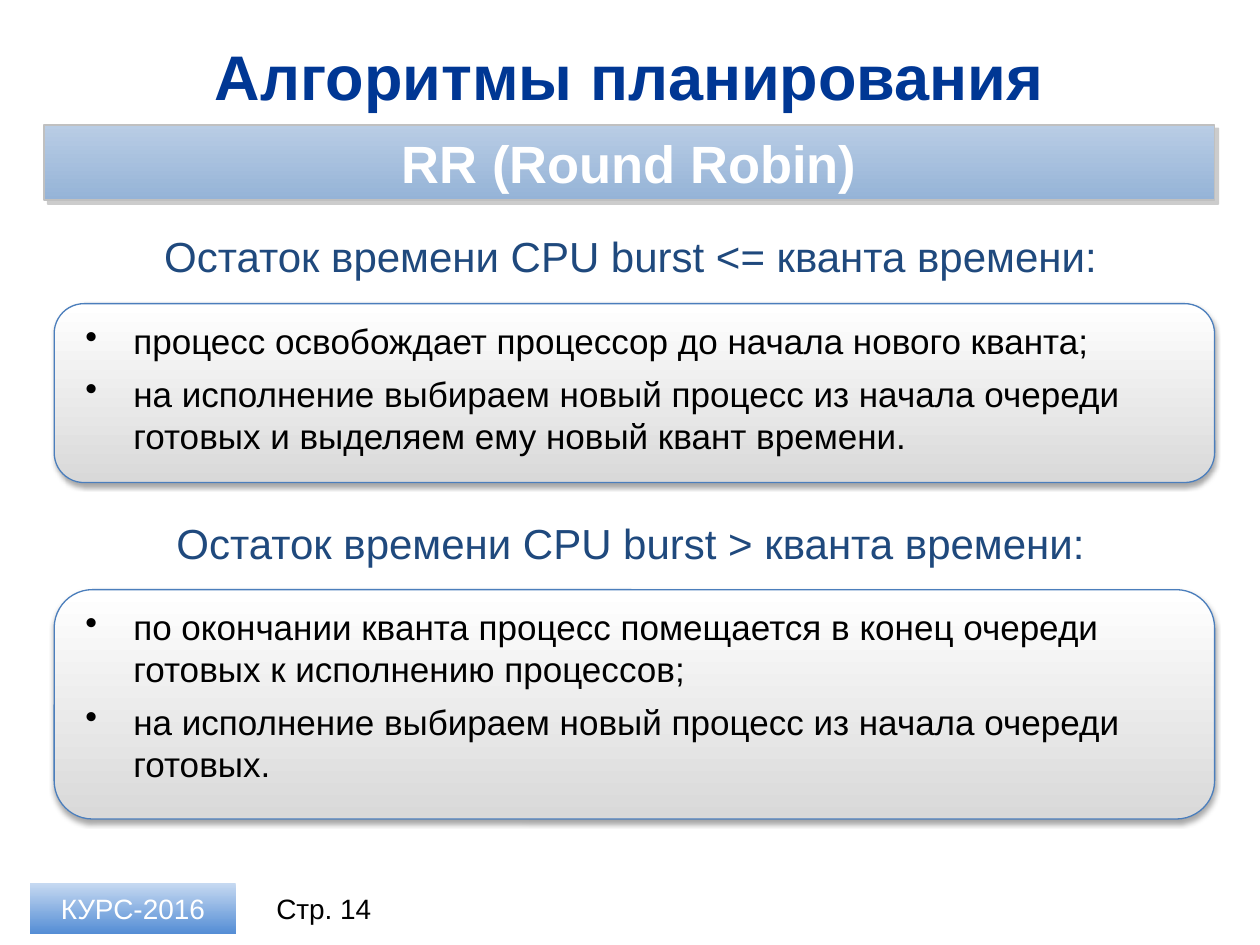
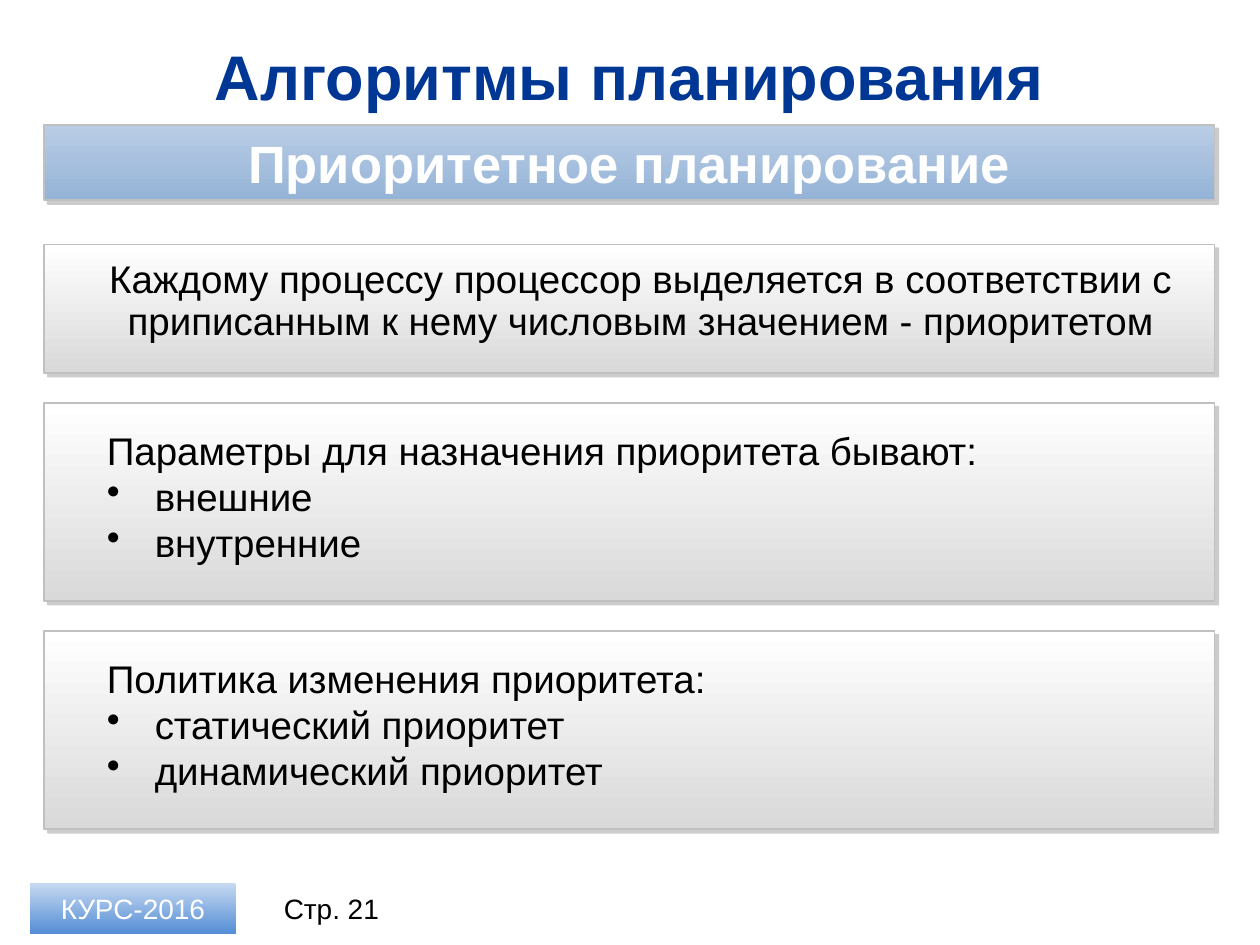
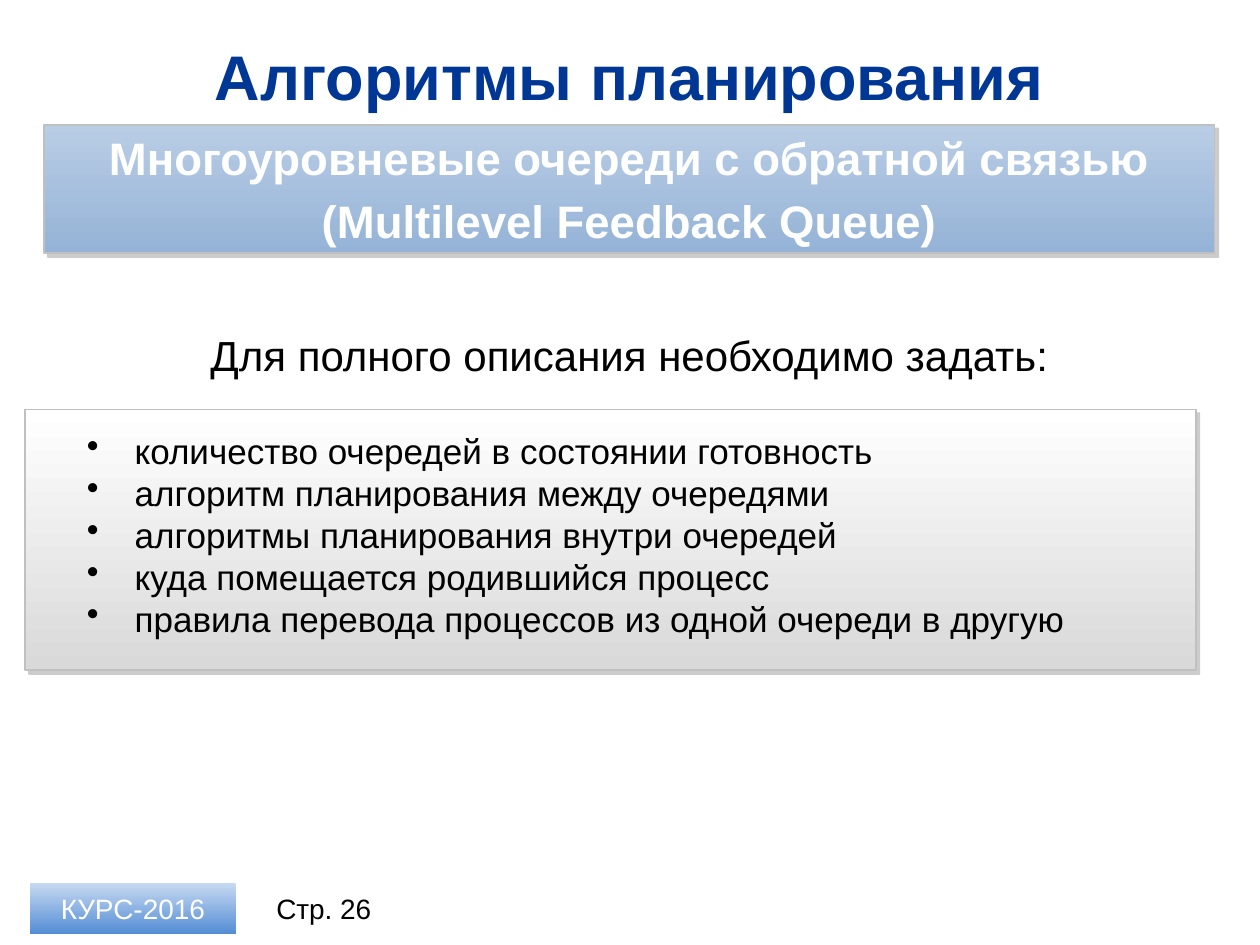
"""Build three slides on scheduling algorithms."""
from dataclasses import dataclass
from typing import Any, NamedTuple, Optional

from lxml import etree
from pptx import Presentation
from pptx.dml.color import RGBColor
from pptx.enum import shapes, text
from pptx.oxml import ns
from pptx.util import Emu, Pt

PX = 9144
RECT = shapes.MSO_SHAPE.RECTANGLE
ROUND = shapes.MSO_SHAPE.ROUNDED_RECTANGLE
LEFT, MID = text.PP_ALIGN.LEFT, text.PP_ALIGN.CENTER


class Box(NamedTuple):
    """A place on the slide in px."""
    x: int
    y: int
    w: int
    h: int

    def emu(self) -> list[Emu]:
        """Give the four lengths in EMU."""
        return [Emu(side * PX) for side in self]


class Shade(NamedTuple):
    """A shadow: colour, opacity in percent, blur and shift in points, angle."""
    color: str
    alpha: int
    blur: float
    shift: float
    angle: int


@dataclass(frozen=True)
class Look:
    """The outline, gradient, edge and shadow of a shape."""
    top: str
    base: str
    edge: Optional[str] = None
    width: float = 1
    shade: Optional[Shade] = None
    form: Any = RECT


@dataclass(frozen=True)
class Theme:
    """Colours, type sizes and looks that all slides share."""
    font: str = "Arial"
    black: str = "000000"
    white: str = "FFFFFF"
    title: str = "003794"
    head: str = "1F497D"
    huge: int = 36
    band: int = 30
    dense: int = 26
    lead: int = 24
    body: int = 22
    item: int = 20
    small: int = 16
    flat: Shade = Shade("808080", 40, 0, 3, 45)
    soft: Shade = Shade("000000", 35, 3.1, 1.8, 90)
    bar: Look = Look("B9CDE5", "95B3D7", "C0C0C0", 1, flat)
    card: Look = Look("FFFFFF", "D9D9D9", "C0C0C0", 1, flat)
    pill: Look = Look("FFFFFF", "D9D9D9", "4B7EBC", 0.75, soft, ROUND)
    tag: Look = Look("C6D9F1", "558ED5")


T = Theme()


@dataclass(frozen=True)
class Panel:
    """A shape with a list laid over it."""
    look: Look
    box: Box
    area: Box
    items: tuple[str, ...]
    intro: str = ""
    size: int = T.item
    gap: int = 0


def bullet(para: Any) -> None:
    """Give a paragraph a hanging bullet."""
    props = para._p.get_or_add_pPr()
    props.set("marL", str(38 * PX))
    props.set("indent", str(-38 * PX))
    etree.SubElement(props, ns.qn("a:buChar"), char="•")


def write(frame: Any, *lines: str, size: int, color: str = T.black, bold: bool = False,
          align: Any = MID, anchor: Any = text.MSO_ANCHOR.MIDDLE, dots: int = 0,
          before: int = 0, after: int = 0, pitch: Optional[float] = None) -> None:
    """Fill a frame with paragraphs, the last `dots` of them bulleted."""
    frame.word_wrap = True
    frame.vertical_anchor = anchor
    for row, line in enumerate(lines):
        para = frame.paragraphs[0] if row == 0 else frame.add_paragraph()
        para.alignment = align
        para.line_spacing = pitch
        para.space_before = Pt(before if row else 0)
        para.space_after = Pt(after)
        if row >= len(lines) - dots:
            bullet(para)
        run = para.add_run()
        run.text = line
        run.font.name, run.font.size, run.font.bold = T.font, Pt(size), bold
        run.font.color.rgb = RGBColor.from_string(color)


def label(slide: Any, box: Box, *lines: str, **form: Any) -> None:
    """Add a text box that grows with its text."""
    frame = slide.shapes.add_textbox(*box.emu()).text_frame
    frame.auto_size = text.MSO_AUTO_SIZE.SHAPE_TO_FIT_TEXT
    write(frame, *lines, **{"anchor": text.MSO_ANCHOR.TOP, **form})


def cast(shape: Any, shade: Shade) -> None:
    """Put an outer shadow on a shape."""
    holder = shape._element.spPr.find(ns.qn("a:effectLst"))
    outer = etree.SubElement(
        holder, ns.qn("a:outerShdw"), blurRad=str(Pt(shade.blur)),
        dist=str(Pt(shade.shift)), dir=str(shade.angle * 60000), rotWithShape="0")
    tint = etree.SubElement(outer, ns.qn("a:srgbClr"), val=shade.color)
    etree.SubElement(tint, ns.qn("a:alpha"), val=str(shade.alpha * 1000))


def block(slide: Any, box: Box, look: Look) -> Any:
    """Add a shape with a gradient that runs from top to base."""
    shape = slide.shapes.add_shape(look.form, *box.emu())
    shape.fill.gradient()
    shape.fill.gradient_angle = 270
    for stop, color in zip(shape.fill.gradient_stops, (look.top, look.base)):
        stop.color.rgb = RGBColor.from_string(color)
    if look.edge:
        shape.line.color.rgb = RGBColor.from_string(look.edge)
        shape.line.width = Pt(look.width)
    else:
        shape.line.fill.background()
    shape.shadow.inherit = False
    if look.shade:
        cast(shape, look.shade)
    return shape


def panel(slide: Any, part: Panel) -> None:
    """Draw a panel and its list."""
    block(slide, part.box, part.look)
    lines = (part.intro, *part.items) if part.intro else part.items
    label(slide, part.area, *lines, size=part.size, align=LEFT,
          dots=len(part.items), before=part.gap)


def start(deck: Any, page: int, *band: str, size: int = T.band,
          tall: int = 60, left: int = 203) -> Any:
    """Add a slide with title, band and footer."""
    slide = deck.slides.add_slide(deck.slide_layouts[5])
    title = slide.shapes.title
    title.left, title.top, title.width, title.height = Box(35, 26, 929, 68).emu()
    title.text_frame.auto_size = text.MSO_AUTO_SIZE.NONE
    write(title.text_frame, "Алгоритмы планирования", size=T.huge, color=T.title, bold=True)
    frame = block(slide, Box(35, 99, 929, tall), T.bar).text_frame
    frame.margin_left = frame.margin_right = Emu(24 * PX)
    frame.margin_top = frame.margin_bottom = Emu(4 * PX)
    write(frame, *band, size=size, color=T.white, bold=True, after=5)
    tag = block(slide, Box(24, 701, 163, 40), T.tag)
    write(tag.text_frame, "КУРС-2016", size=T.small, color=T.white)
    label(slide, Box(left, 701, 108, 40), f"Стр. {page}", size=T.small,
          anchor=text.MSO_ANCHOR.MIDDLE)
    return slide


def robin(deck: Any) -> None:
    """Draw the Round Robin slide."""
    slide = start(deck, 14, "RR (Round Robin)")
    cases = (
        ("<=", 142, 119, (
            "процесс освобождает процессор до начала нового кванта;",
            "на исполнение выбираем новый процесс из начала очереди готовых "
            "и выделяем ему новый квант времени.")),
        (">", 182, 153, (
            "по окончании кванта процесс помещается в конец очереди готовых "
            "к исполнению процессов;",
            "на исполнение выбираем новый процесс из начала очереди готовых.")),
    )
    for row, (sign, tall, inner, items) in enumerate(cases):
        top = 241 + 227 * row
        label(slide, Box(28, 178 + 228 * row, 945, 50),
              f"Остаток времени CPU burst {sign} кванта времени:",
              size=T.lead, color=T.head)
        panel(slide, Panel(T.pill, Box(43, top, 921, tall),
                           Box(58, top + 8, 858, inner), items, gap=6))


def rank(deck: Any) -> None:
    """Draw the priority slide."""
    slide = start(deck, 21, "Приоритетное планирование", left=209)
    block(slide, Box(35, 194, 929, 102), T.card)
    label(slide, Box(28, 202, 961, 77),
          "Каждому процессу процессор выделяется в соответствии с "
          "приписанным к нему числовым значением - приоритетом",
          size=T.body, pitch=0.9)
    groups = (
        ("Параметры для назначения приоритета бывают:", ("внешние", "внутренние")),
        ("Политика изменения приоритета:",
         ("статический приоритет", "динамический приоритет")),
    )
    for row, (intro, items) in enumerate(groups):
        top = 320 + 181 * row
        panel(slide, Panel(T.card, Box(35, top, 929, 157),
                           Box(75, top + 14, 858, 121), items, intro, T.body))


def queue(deck: Any) -> None:
    """Draw the feedback queue slide."""
    slide = start(deck, 26, "Многоуровневые очереди с обратной связью",
                  "(Multilevel Feedback Queue)", size=T.dense, tall=102)
    label(slide, Box(106, 257, 787, 50), "Для полного описания необходимо задать:",
          size=T.lead)
    panel(slide, Panel(T.card, Box(20, 325, 929, 207), Box(59, 336, 882, 178), (
        "количество очередей в состоянии готовность",
        "алгоритм планирования между очередями",
        "алгоритмы планирования внутри очередей",
        "куда помещается родившийся процесс",
        "правила перевода процессов из одной очереди в другую")))


def main() -> None:
    """Build and save the deck."""
    deck = Presentation()
    deck.slide_width, deck.slide_height = Emu(1000 * PX), Emu(750 * PX)
    for draw in (robin, rank, queue):
        draw(deck)
    deck.save("out.pptx")


if __name__ == "__main__":
    main()
